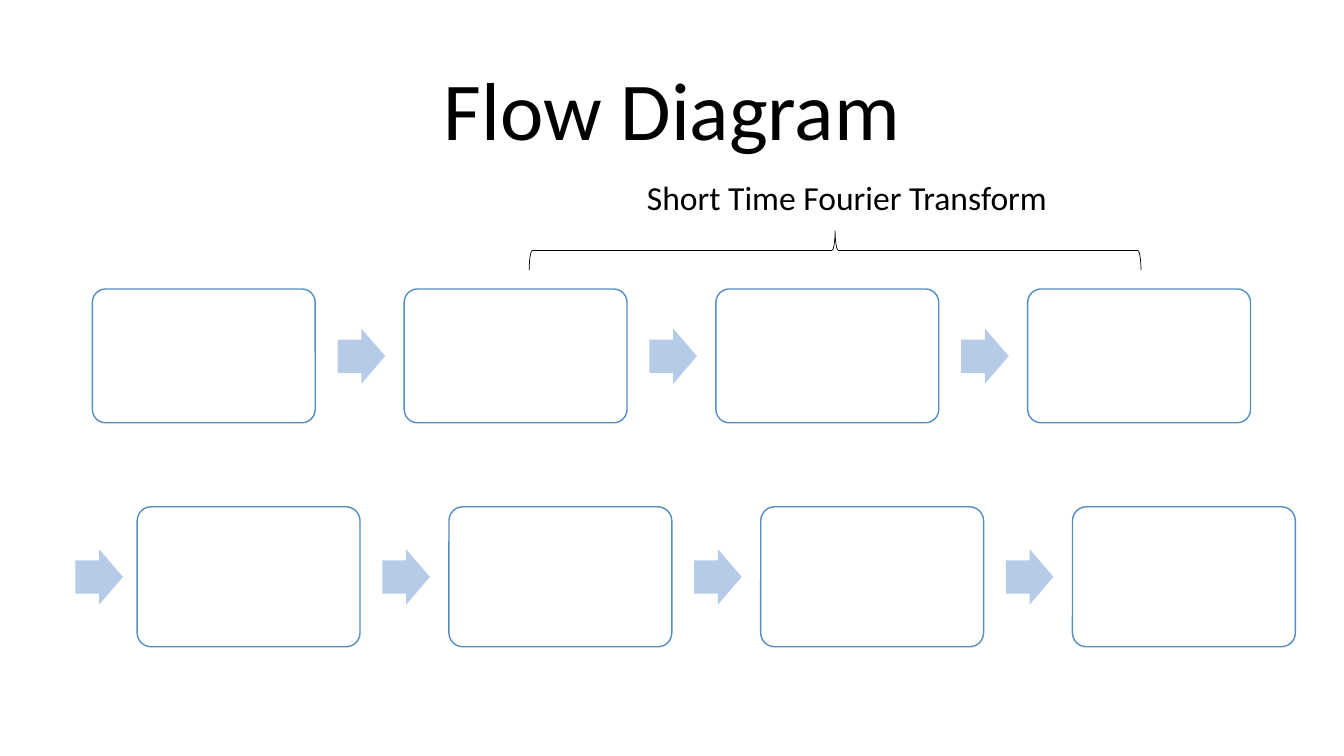
"""Build the Flow Diagram slide: two rows of boxes and arrows under a braced label."""
import pptx
import pptx.util
import pptx.dml.color
import pptx.enum.shapes
import pptx.enum.text

Pt = pptx.util.Pt
SHAPE = pptx.enum.shapes.MSO_SHAPE
ALIGN = pptx.enum.text.PP_ALIGN
ANCHOR = pptx.enum.text.MSO_ANCHOR
BLACK = pptx.dml.color.RGBColor(0x00, 0x00, 0x00)
WHITE = pptx.dml.color.RGBColor(0xFF, 0xFF, 0xFF)
BOX_LINE = pptx.dml.color.RGBColor(0x53, 0x8D, 0xC1)
ARROW_FILL = pptx.dml.color.RGBColor(0xB5, 0xCB, 0xE7)

PITCH = 222.7
BOX_W = 159.2
ARROW_W, ARROW_H = 34, 39.6
ARROW_LEAD = 47.6

prs = pptx.Presentation()
prs.slide_width, prs.slide_height = Pt(960), Pt(540)
s = prs.slides.add_slide(prs.slide_layouts[6])


def add_shape(kind, x, y, w, h, fill=None, line=None, line_w=1):
    sp = s.shapes.add_shape(kind, Pt(x), Pt(y), Pt(w), Pt(h))
    sp.shadow.inherit = False
    if fill is None:
        sp.fill.background()
    else:
        sp.fill.solid()
        sp.fill.fore_color.rgb = fill
    if line is None:
        sp.line.fill.background()
    else:
        sp.line.color.rgb = line
        sp.line.width = Pt(line_w)
    return sp


def add_text(text, x, y, w, h, size, align, wrap):
    tf = s.shapes.add_textbox(Pt(x), Pt(y), Pt(w), Pt(h)).text_frame
    tf.word_wrap = wrap
    tf.text = text
    p = tf.paragraphs[0]
    p.alignment = align
    r = p.runs[0]
    r.font.name = "Calibri"
    r.font.size = Pt(size)
    r.font.color.rgb = BLACK
    return tf


title = add_text("Flow Diagram", 66, 28.8, 828, 104.4, 58.7, ALIGN.CENTER, True)
title.vertical_anchor = ANCHOR.MIDDLE
title.paragraphs[0].line_spacing = 0.9

for row_x, box_y, box_h, arrow_y, first_arrow_x in (
    (66, 206.4, 95.6, 234.6, None),
    (98, 362, 100, 392.3, 53.8),
):
    for i in range(4):
        box_x = row_x + i * PITCH
        arrow_x = box_x - ARROW_LEAD if i else first_arrow_x
        if arrow_x is not None:
            arrow = add_shape(SHAPE.RIGHT_ARROW, arrow_x, arrow_y, ARROW_W, ARROW_H, ARROW_FILL)
            arrow.adjustments[0] = 0.6
            arrow.adjustments[1] = 0.5
        box = add_shape(SHAPE.ROUNDED_RECTANGLE, box_x, box_y, BOX_W, box_h, WHITE, BOX_LINE)
        box.adjustments[0] = 0.1

add_text("Short Time Fourier Transform", 455, 123.1, 303.1, 36, 24, ALIGN.LEFT, False)
brace = add_shape(SHAPE.LEFT_BRACE, 582.5, -39.6, 28, 437, line=BLACK, line_w=0.5)
brace.rotation = 90

prs.save("out.pptx")
